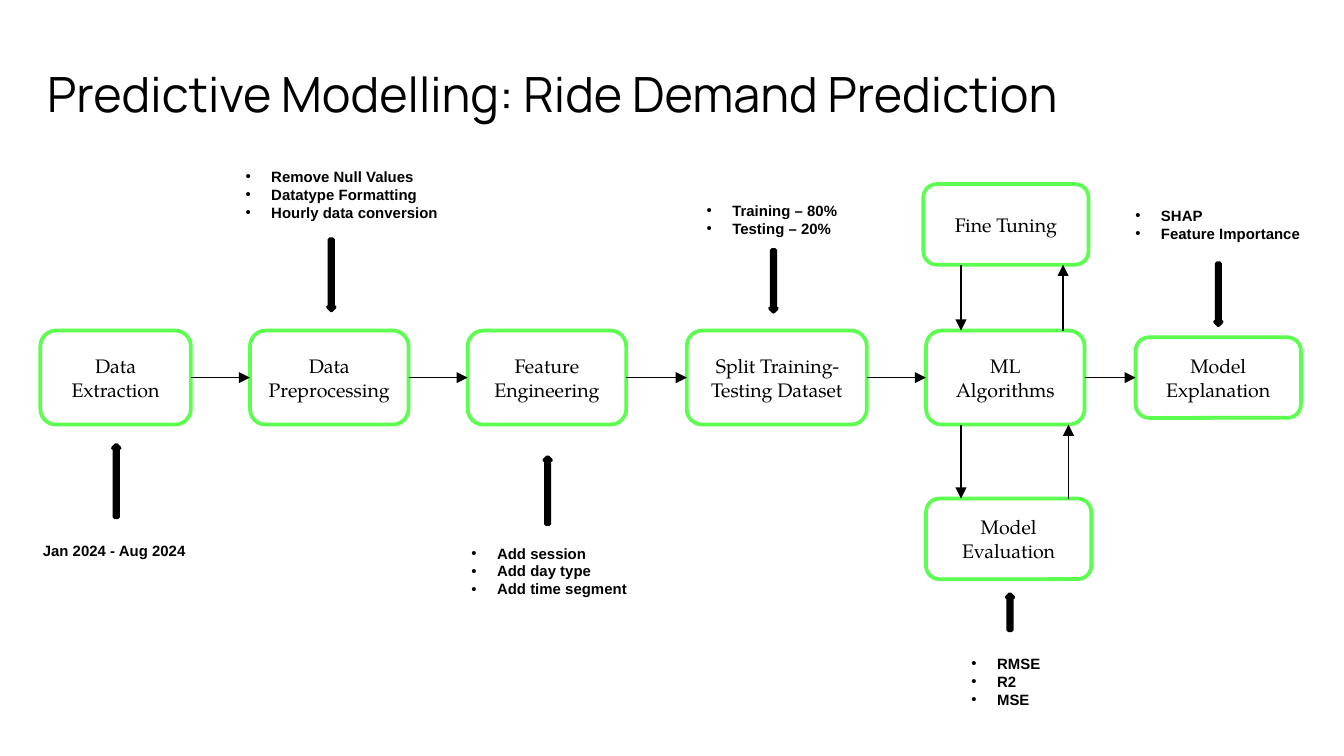
"""Build the ride demand prediction pipeline slide."""
from lxml import etree
from pptx import Presentation
from pptx import util as u
from pptx.dml.color import RGBColor
from pptx.enum import shapes, text
from pptx.oxml.ns import qn

TITLE = "Predictive Modelling: Ride Demand Prediction"
BLACK, WHITE, GREEN = "000000", "FFFFFF", "5CFE50"
ROW_TOP, ROW_HEIGHT, SIDE_HEIGHT = 2.46, 0.7, 0.6
ROW_MIDDLE = ROW_TOP + ROW_HEIGHT / 2
ROW_BOTTOM = ROW_TOP + ROW_HEIGHT
TUNING_TOP, EVALUATION_TOP = 1.37, 3.71
TUNING_BOTTOM = TUNING_TOP + SIDE_HEIGHT

PIPELINE = [
    ("Data Extraction", 0.3, 1.12, ROW_HEIGHT),
    ("Data Preprocessing", 1.86, 1.18, ROW_HEIGHT),
    ("Feature Engineering", 3.48, 1.18, ROW_HEIGHT),
    ("Split Training-Testing Dataset", 5.11, 1.34, ROW_HEIGHT),
    ("ML Algorithms", 6.89, 1.18, ROW_HEIGHT),
    ("Model Explanation", 8.45, 1.23, SIDE_HEIGHT),
]
SIDE_STEPS = [
    ("Fine Tuning", 6.87, TUNING_TOP),
    ("Model Evaluation", 6.89, EVALUATION_TOP),
]
FEEDBACK = [
    (7.15, TUNING_BOTTOM, ROW_TOP),
    (7.91, ROW_TOP, TUNING_BOTTOM),
    (7.15, ROW_BOTTOM, EVALUATION_TOP),
    (7.95, EVALUATION_TOP, ROW_BOTTOM),
]
NOTES = [
    (["Jan 2024 - Aug 2024"], 0.22, 3.98, 1.28, 0.24),
    (["Remove Null Values", "Datatype Formatting", "Hourly data conversion"], 1.73, 1.2, 1.64, 0.5),
    (["Add session", "Add day type", "Add time segment"], 3.41, 4, 1.37, 0.5),
    (["Training – 80%", "Testing – 20%"], 5.16, 1.45, 1.19, 0.37),
    (["SHAP", "Feature Importance"], 8.35, 1.49, 1.44, 0.37),
    (["RMSE", "R2", "MSE"], 7.13, 4.82, 0.72, 0.5),
]
UP, DOWN = shapes.MSO_SHAPE.UP_ARROW, shapes.MSO_SHAPE.DOWN_ARROW
POINTERS = [
    (UP, 0.84, 3.31, 0.54),
    (DOWN, 2.44, 1.78, 0.53),
    (UP, 4.05, 3.4, 0.5),
    (DOWN, 5.73, 1.86, 0.46),
    (UP, 7.49, 4.42, 0.27),
    (DOWN, 9.04, 1.96, 0.46),
]


def rgb(value):
    return RGBColor.from_string(value)


def style(paragraph, face, size, bold=False):
    font = paragraph.font
    font.name, font.size, font.bold = face, u.Pt(size), bold
    font.color.rgb = rgb(BLACK)


def add_block(slide, preset, box, fill, line):
    block = slide.shapes.add_shape(preset, *map(u.Inches, box))
    block.shadow.inherit = False
    block.fill.solid()
    block.fill.fore_color.rgb = rgb(fill)
    block.line.color.rgb = rgb(line)
    block.line.width = u.Pt(2)
    return block


def add_step(slide, name, *box):
    step = add_block(slide, shapes.MSO_SHAPE.ROUNDED_RECTANGLE, box, WHITE, GREEN)
    frame = step.text_frame
    frame.word_wrap = True
    frame.vertical_anchor = text.MSO_ANCHOR.MIDDLE
    frame.margin_left = frame.margin_right = u.Inches(0.08)
    label = frame.paragraphs[0]
    label.text, label.alignment = name, text.PP_ALIGN.CENTER
    style(label, "TeX Gyre Pagella", 10.5)


def add_flow(slide, *ends):
    flow = slide.shapes.add_connector(shapes.MSO_CONNECTOR.STRAIGHT, *map(u.Inches, ends))
    flow.line.color.rgb = rgb(BLACK)
    flow.line.width = u.Pt(0.75)
    properties = flow._element.spPr
    etree.SubElement(properties.find(qn("a:ln")), qn("a:tailEnd"), type="triangle")
    etree.SubElement(properties, qn("a:effectLst"))


def add_bullet(paragraph):
    properties = paragraph._p.get_or_add_pPr()
    properties.set("marL", str(u.Inches(0.19)))
    properties.set("indent", str(-u.Inches(0.19)))
    etree.SubElement(properties, qn("a:buFont"), typeface="Arial")
    etree.SubElement(properties, qn("a:buChar"), char="•")


def add_note(slide, items, *box):
    frame = slide.shapes.add_textbox(*map(u.Inches, box)).text_frame
    frame.word_wrap = False
    frame.auto_size = text.MSO_AUTO_SIZE.SHAPE_TO_FIT_TEXT
    frame.text = "\n".join(items)
    for paragraph in frame.paragraphs:
        if len(items) > 1:
            add_bullet(paragraph)
        style(paragraph, "Arial", 8, bold=True)


def add_title(slide):
    title = slide.shapes.title
    title.left, title.top, title.width, title.height = map(u.Inches, (0.35, 0.3, 9.31, 0.84))
    frame = title.text_frame
    frame.margin_left = frame.margin_right = frame.margin_top = frame.margin_bottom = 0
    frame.vertical_anchor = text.MSO_ANCHOR.MIDDLE
    frame.word_wrap = True
    heading = frame.paragraphs[0]
    heading.text, heading.alignment, heading.line_spacing = TITLE, text.PP_ALIGN.LEFT, 0.9
    style(heading, "Manrope", 26)


def main():
    deck = Presentation()
    deck.slide_width = u.Inches(10)
    deck.slide_height = deck.slide_width * 9 // 16
    slide = deck.slides.add_slide(deck.slide_layouts[5])
    add_title(slide)
    for name, left, top in SIDE_STEPS:
        add_step(slide, name, left, top, 1.23, SIDE_HEIGHT)
    for name, left, width, height in PIPELINE:
        add_step(slide, name, left, ROW_MIDDLE - height / 2, width, height)
    for (_, left, width, _), (_, following, _, _) in zip(PIPELINE, PIPELINE[1:]):
        add_flow(slide, left + width, ROW_MIDDLE, following, ROW_MIDDLE)
    for x, start, end in FEEDBACK:
        add_flow(slide, x, start, x, end)
    for note in NOTES:
        add_note(slide, *note)
    for preset, left, top, height in POINTERS:
        add_block(slide, preset, (left, top, 0.05, height), BLACK, BLACK)
    deck.save("out.pptx")


if __name__ == "__main__":
    main()
